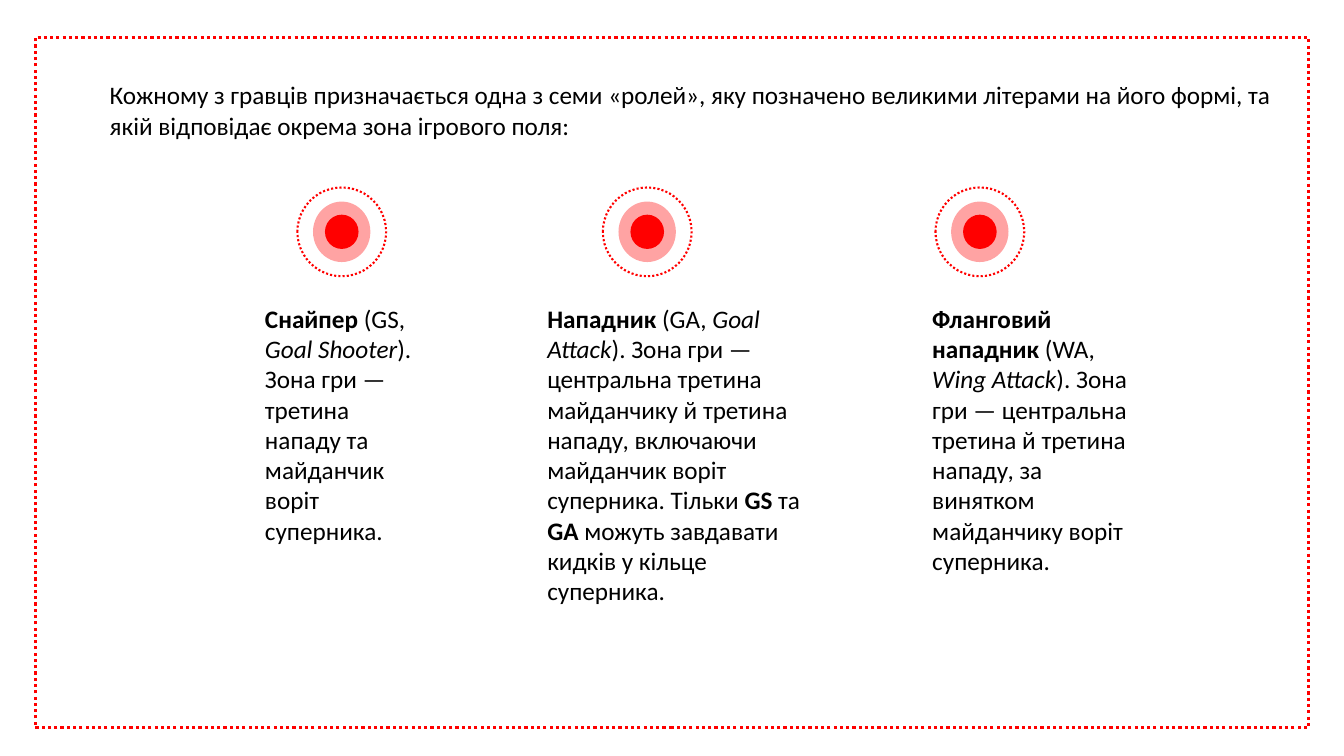
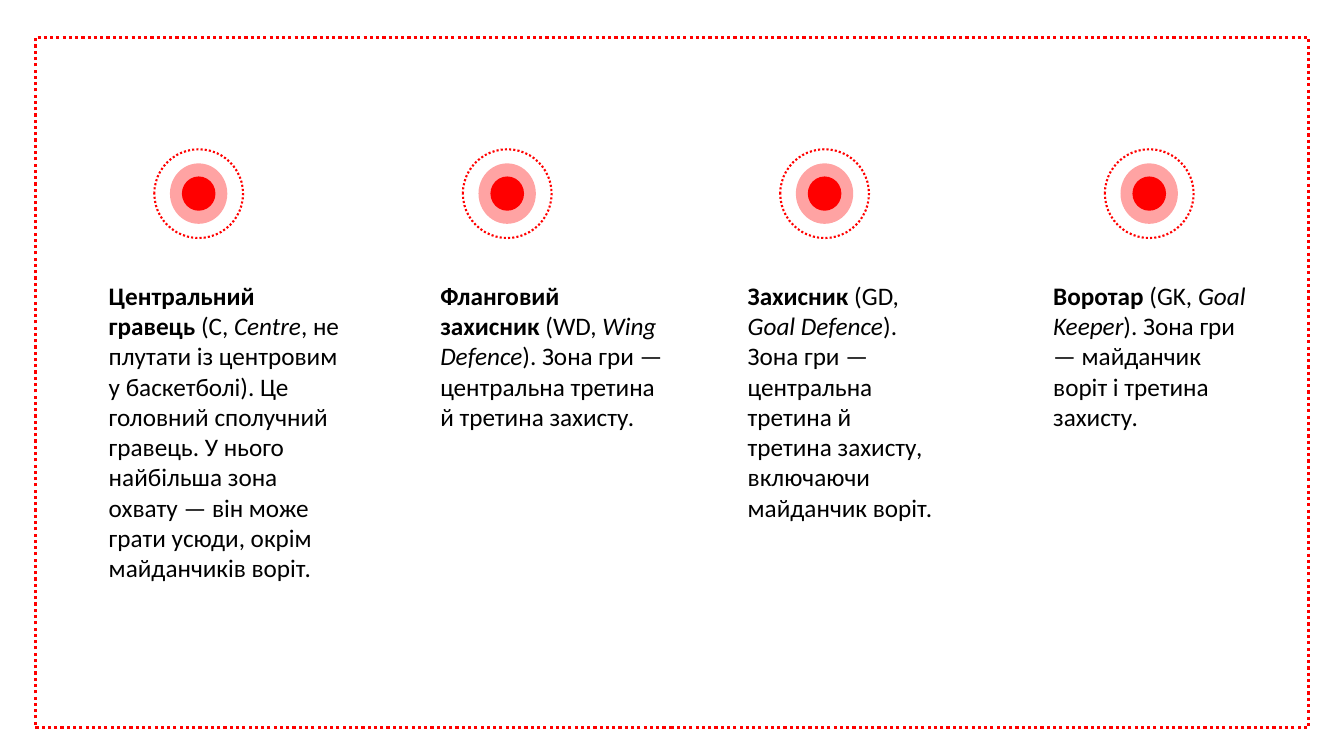
import pptx
import pptx.dml.color
import pptx.enum.dml
import pptx.enum.shapes
import pptx.enum.text
import pptx.oxml
import pptx.oxml.ns
import pptx.util

Pt = pptx.util.Pt
KIND = pptx.enum.shapes.MSO_SHAPE
RED = pptx.dml.color.RGBColor(0xFF, 0x00, 0x00)
WHITE = pptx.dml.color.RGBColor(0xFF, 0xFF, 0xFF)
BLACK = pptx.dml.color.RGBColor(0x00, 0x00, 0x00)
FONT, SIZE = "Calibri", 18
FRAME = (25.2, 26.64, 909.36, 493.2)
HALO, CORE, RING = (41, 43.2), (24, 24.5), (63.4, 63.4)

INTRO = {
    "box": (71.3, 53.3, 875.5, 181.4),
    "runs": [("Кожному з гравців призначається одна з семи «ролей», яку позначено великими літерами на його формі, та якій відповідає окрема зона ігрового поля:", "")],
}

PAGES = [
    {
        "intro": INTRO, "mark": 165.6, "top": 213.1,
        "roles": [
            {"mid": 244.1, "left": 182.2, "size": (126.7, 203.8), "runs": [
                ("Снайпер", "b"), (" (GS, ", ""), ("Goal Shooter", "i"),
                ("). Зона гри — третина нападу та майданчик воріт суперника.", "")]},
            {"mid": 462.3, "left": 383.8, "size": (200.2, 269.3), "runs": [
                ("Нападник", "b"), (" (GA, ", ""), ("Goal Attack", "i"),
                ("). Зона гри — центральна третина майданчику й третина нападу, включаючи майданчик воріт суперника. Тільки ", ""),
                ("GS ", "b"), ("та ", ""), ("GA ", "b"),
                ("можуть завдавати кидків у кільце суперника.", "")]},
            {"mid": 699.9, "left": 658.8, "size": (167, 225.4), "runs": [
                ("Фланговий нападник", "b"), (" (WA, ", ""), ("Wing Attack", "i"),
                ("). Зона гри — центральна третина й третина нападу, за винятком майданчику воріт суперника.", "")]},
        ],
    },
    {
        "intro": None, "mark": 138.3, "top": 196.6,
        "roles": [
            {"mid": 141.9, "left": 70.6, "size": (184.3, 290.9), "runs": [
                ("Центральний гравець", "b"), (" (C, ", ""), ("Centre", "i"),
                (", не плутати із центровим у баскетболі). Це головний сполучний гравець. У нього найбільша зона охвату — він може грати усюди, окрім майданчиків воріт.", "")]},
            {"mid": 362.3, "left": 307.4, "size": (173.5, 181.4), "runs": [
                ("Фланговий захисник", "b"), (" (WD, ", ""), ("Wing Defence", "i"),
                ("). Зона гри — центральна третина й третина захисту.", "")]},
            {"mid": 589, "left": 527, "size": (149.8, 225.4), "runs": [
                ("Захисник", "b"), (" (GD, ", ""), ("Goal Defence", "i"),
                ("). Зона гри — центральна третина й третина захисту, включаючи майданчик воріт.", "")]},
            {"mid": 820.9, "left": 745.2, "size": (157, 159.8), "runs": [
                ("Воротар ", "b"), ("(GK, ", ""), ("Goal Keeper", "i"),
                ("). Зона гри — майданчик воріт і третина захисту.", "")]},
        ],
    },
]


def add_form(slide, kind, box, fill=None, alpha=None, line=None):
    form = slide.shapes.add_shape(kind, *map(Pt, box))
    form.shadow.inherit = False
    if fill is None:
        form.fill.background()
    else:
        form.fill.solid()
        form.fill.fore_color.rgb = fill
    if alpha is not None:
        tint = form.fill._xPr.find(".//" + pptx.oxml.ns.qn("a:srgbClr"))
        node = pptx.oxml.parse_xml(
            f'<a:alpha {pptx.oxml.ns.nsdecls("a")} val="{alpha * 1000}"/>')
        tint.append(node)
    if line is None:
        form.line.fill.background()
    else:
        form.line.color.rgb = RED
        form.line.width = Pt(line)
        form.line.dash_style = pptx.enum.dml.MSO_LINE.ROUND_DOT


def add_mark(slide, mid, row):
    looks = [(HALO, {"fill": RED, "alpha": 36}), (CORE, {"fill": RED}),
             (RING, {"line": 1.5})]
    for (wide, high), look in looks:
        box = (mid - wide / 2, row - high / 2, wide, high)
        add_form(slide, KIND.OVAL, box, **look)


def add_text(slide, box, runs):
    frame = slide.shapes.add_textbox(*map(Pt, box)).text_frame
    frame.word_wrap = True
    frame.auto_size = pptx.enum.text.MSO_AUTO_SIZE.SHAPE_TO_FIT_TEXT
    para = frame.paragraphs[0]
    para.font.name = FONT
    para.font.size = Pt(SIZE)
    para.font.color.rgb = BLACK
    for text, style in runs:
        run = para.add_run()
        run.text = text
        if style == "b":
            run.font.bold = True
        elif style == "i":
            run.font.italic = True


def main():
    deck = pptx.Presentation()
    deck.slide_width, deck.slide_height = Pt(960), Pt(540)
    for page in PAGES:
        slide = deck.slides.add_slide(deck.slide_layouts[6])
        add_form(slide, KIND.RECTANGLE, FRAME, fill=WHITE, line=2.25)
        if page["intro"]:
            add_text(slide, **page["intro"])
        for role in page["roles"]:
            add_mark(slide, role["mid"], page["mark"])
            box = (role["left"], page["top"], *role["size"])
            add_text(slide, box, role["runs"])
    deck.save("out.pptx")


if __name__ == "__main__":
    main()
